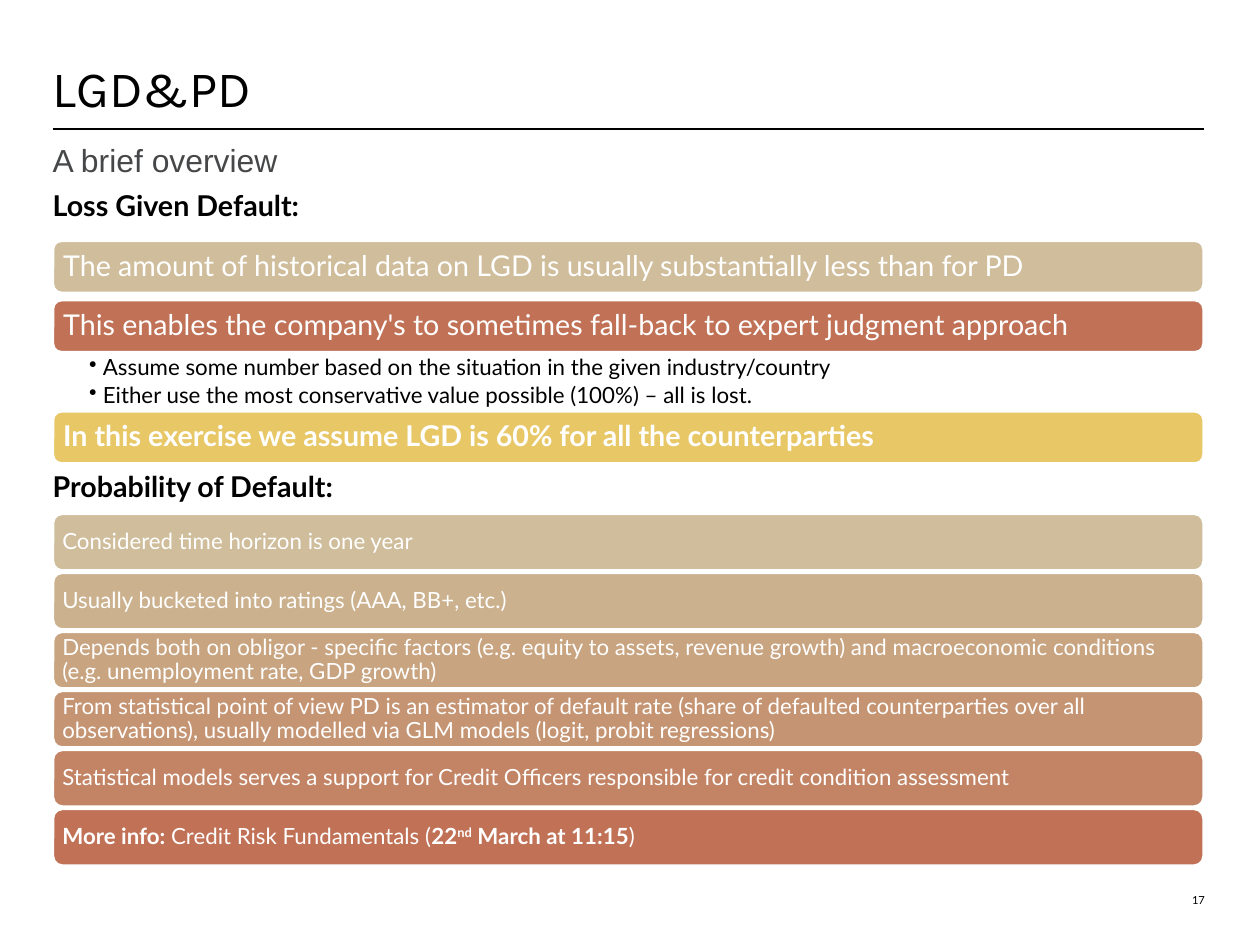
from lxml.etree import SubElement
from pptx import Presentation
from pptx.dml.color import RGBColor
from pptx.enum.shapes import MSO_CONNECTOR as Connector, MSO_SHAPE as Shape
from pptx.enum.text import MSO_ANCHOR as Anchor, MSO_AUTO_SIZE as AutoSize, PP_ALIGN as Align
from pptx.oxml.ns import qn
from pptx.util import Pt

COLORS = {
    "text": "000000", "subtitle": "464749", "white": "FFFFFF",
    "sand": "CFBD9B", "tan": "CBB18E", "camel": "C8A480",
    "clay": "C59573", "copper": "C28465", "rust": "C07156", "gold": "E8C767",
}
LEFT, WIDTH = 33.1, 723.6

LGD_BARS = [
    (151.2, "sand", [("The amount of historical data on LGD is usually substantially less than for PD", {})]),
    (188.5, "rust", [("This enables the company's to sometimes fall-back to expert judgment approach", {})]),
    (258.4, "gold", [("In this exercise we assume LGD is 60% for all the counterparties", {"bold": True})]),
]
FALLBACKS = [
    "Assume some number based on the situation in the given industry/country",
    "Either use the most conservative value possible (100%) – all is lost.",
]
PD_BARS = [
    ("sand", [("Considered time horizon is one year", {})]),
    ("tan", [("Usually bucketed into ratings (AAA, BB+, etc.)", {})]),
    ("camel", [("Depends both on obligor - specific factors (e.g. equity to assets, revenue growth) "
                "and macroeconomic conditions (e.g. unemployment rate, GDP growth)", {})]),
    ("clay", [("From statistical point of view PD is an estimator of default rate (share of defaulted "
               "counterparties over all observations), usually modelled via GLM models "
               "(logit, probit regressions)", {})]),
    ("copper", [("Statistical models serves a support for Credit Officers responsible for "
                 "credit condition assessment", {})]),
    ("rust", [("More info: ", {"bold": True}), ("Credit Risk Fundamentals (", {}),
              ("22", {"bold": True}), ("nd", {"bold": True, "superscript": True}),
              (" March at 11:15", {"bold": True}), (")", {})]),
]


def rgb(name):
    return RGBColor.from_string(COLORS[name])


class SlideBuilder:
    font = "Lato"

    def __init__(self, slide):
        self.slide = slide

    def fill_text(self, shape, paragraphs, size, color="text", font=None, insets=(0, 0, 0, 0),
                  anchor=Anchor.TOP, bullet=None, **paragraph_format):
        """Fill a shape with paragraphs, each a list of (text, run format) pairs."""
        frame = shape.text_frame
        sides = ("margin_left", "margin_top", "margin_right", "margin_bottom")
        frame_format = {"word_wrap": True, "auto_size": AutoSize.NONE, "vertical_anchor": anchor,
                        **{side: Pt(inset) for side, inset in zip(sides, insets)}}
        for name, value in frame_format.items():
            setattr(frame, name, value)
        for index, runs in enumerate(paragraphs):
            paragraph = frame.add_paragraph() if index else frame.paragraphs[0]
            spacing = {"alignment": Align.LEFT, "space_before": Pt(0), "space_after": Pt(0)}
            for name, value in {**spacing, **paragraph_format}.items():
                setattr(paragraph, name, value)
            self.set_bullet(paragraph, bullet)
            for text, run_format in runs:
                self.add_run(paragraph, text, run_format, size, color, font or self.font)

    def set_bullet(self, paragraph, bullet):
        properties = paragraph._p.get_or_add_pPr()
        indent = Pt(8.6) if bullet else 0
        properties.set("marL", str(indent))
        properties.set("indent", str(-indent))
        if bullet:
            SubElement(properties, qn("a:buChar")).set("char", bullet)
        else:
            SubElement(properties, qn("a:buNone"))

    def add_run(self, paragraph, text, run_format, size, color, font):
        run = paragraph.add_run()
        run.text = text
        values = {"name": font, "size": Pt(size), "bold": run_format.get("bold", False)}
        for name, value in values.items():
            setattr(run.font, name, value)
        run.font.color.rgb = rgb(color)
        if run_format.get("superscript"):
            run._r.get_or_add_rPr().set("baseline", "30000")

    def placeholder(self, index, top, height, runs, size, **style):
        shape = self.slide.placeholders[index]
        box = {"left": LEFT, "top": top, "width": WIDTH, "height": height}
        for name, value in box.items():
            setattr(shape, name, Pt(value))
        self.fill_text(shape, [runs], size, **style)

    def text_box(self, left, top, width, height, paragraphs, size, **style):
        shape = self.slide.shapes.add_textbox(Pt(left), Pt(top), Pt(width), Pt(height))
        self.fill_text(shape, paragraphs, size, **style)

    def bar(self, top, height, fill, runs, size, inset):
        shape = self.slide.shapes.add_shape(
            Shape.ROUNDED_RECTANGLE, Pt(LEFT), Pt(top), Pt(WIDTH), Pt(height))
        shape.shadow.inherit = False
        shape.fill.solid()
        shape.fill.fore_color.rgb = rgb(fill)
        shape.line.color.rgb = rgb("white")
        shape.line.width = Pt(2)
        self.fill_text(shape, [runs], size, color="white", insets=(inset,) * 4,
                       anchor=Anchor.MIDDLE, line_spacing=0.9)

    def rule(self, y):
        line = self.slide.shapes.add_connector(
            Connector.STRAIGHT, Pt(LEFT), Pt(y), Pt(LEFT + WIDTH), Pt(y))
        line.line.color.rgb = rgb("text")
        line.line.width = Pt(1.25)
        SubElement(line._element.spPr, qn("a:effectLst"))


def main():
    presentation = Presentation()
    presentation.slide_width, presentation.slide_height = Pt(792), Pt(594)
    two_content = presentation.slide_layouts[3]
    builder = SlideBuilder(presentation.slides.add_slide(two_content))

    builder.rule(81.2)
    builder.placeholder(0, 0, 74.2, [("LGD&PD", {})], 32, font="Karla",
                        anchor=Anchor.BOTTOM, line_spacing=Pt(32))
    builder.text_box(LEFT, 88.6, WIDTH, 21.6, [[("A brief overview", {})]], 20,
                     color="subtitle", font="Arial")

    heading_style = {"size": 18, "insets": (0, 0, 0, 3)}
    builder.placeholder(1, 118.1, 28, [("Loss Given Default:", {"bold": True})], **heading_style)
    for top, fill, runs in LGD_BARS:
        builder.bar(top, 33.1, fill, runs, size=18, inset=5)
    builder.text_box(LEFT, 221.8, WIDTH, 36.7, [[(text, {})] for text in FALLBACKS], 14,
                     insets=(23, 2, 10, 2), bullet="•", line_spacing=0.9, space_after=Pt(2.8))

    builder.placeholder(2, 294.5, 31.7, [("Probability of Default:", {"bold": True})], **heading_style)
    for row, (fill, runs) in enumerate(PD_BARS):
        builder.bar(322.8 + row * 37.1, 36, fill, runs, size=14, inset=4.3)

    builder.text_box(725, 540, 32.4, 30.2, [[("17", {})]], 7,
                     anchor=Anchor.BOTTOM, alignment=Align.RIGHT)
    presentation.save("out.pptx")


if __name__ == "__main__":
    main()
